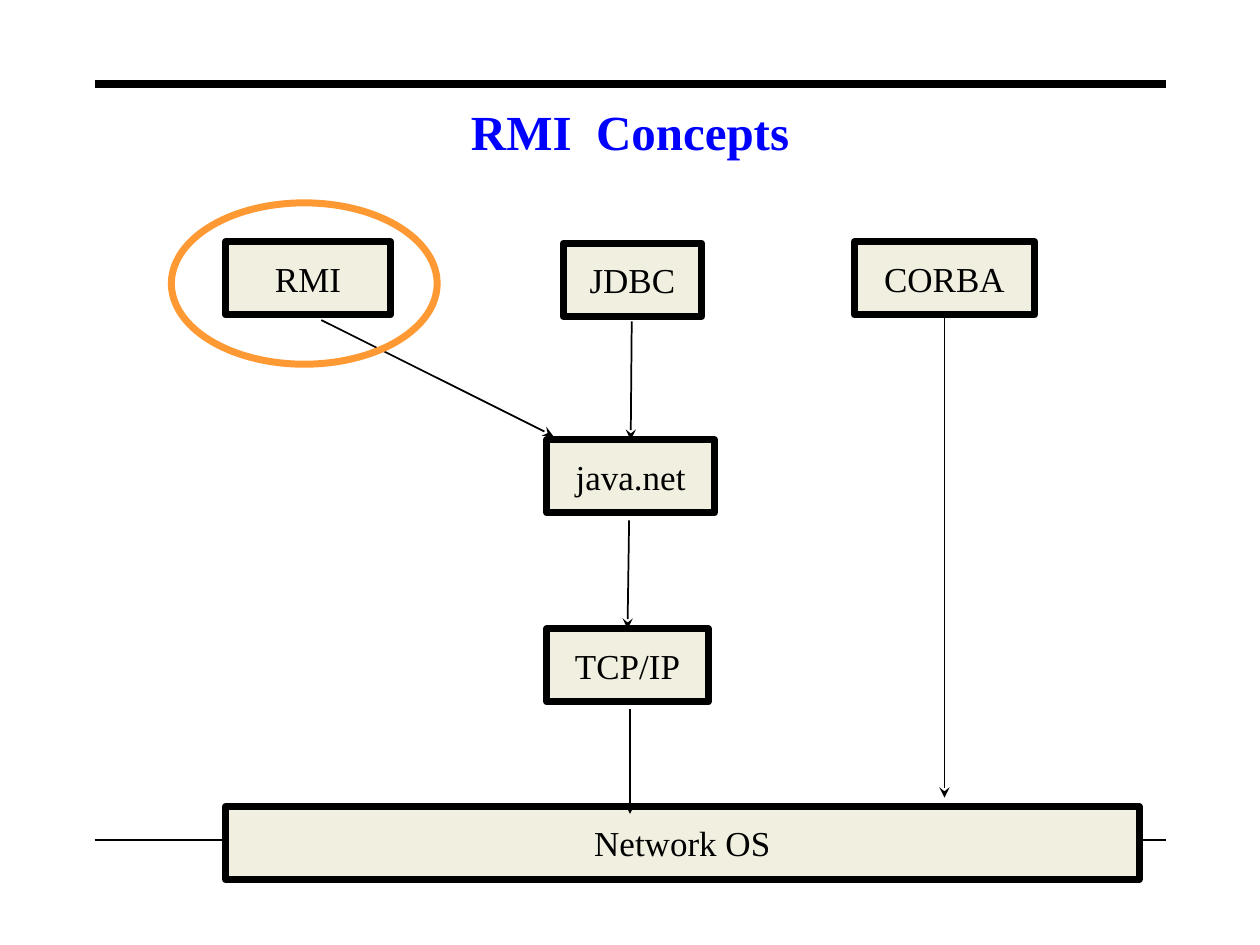
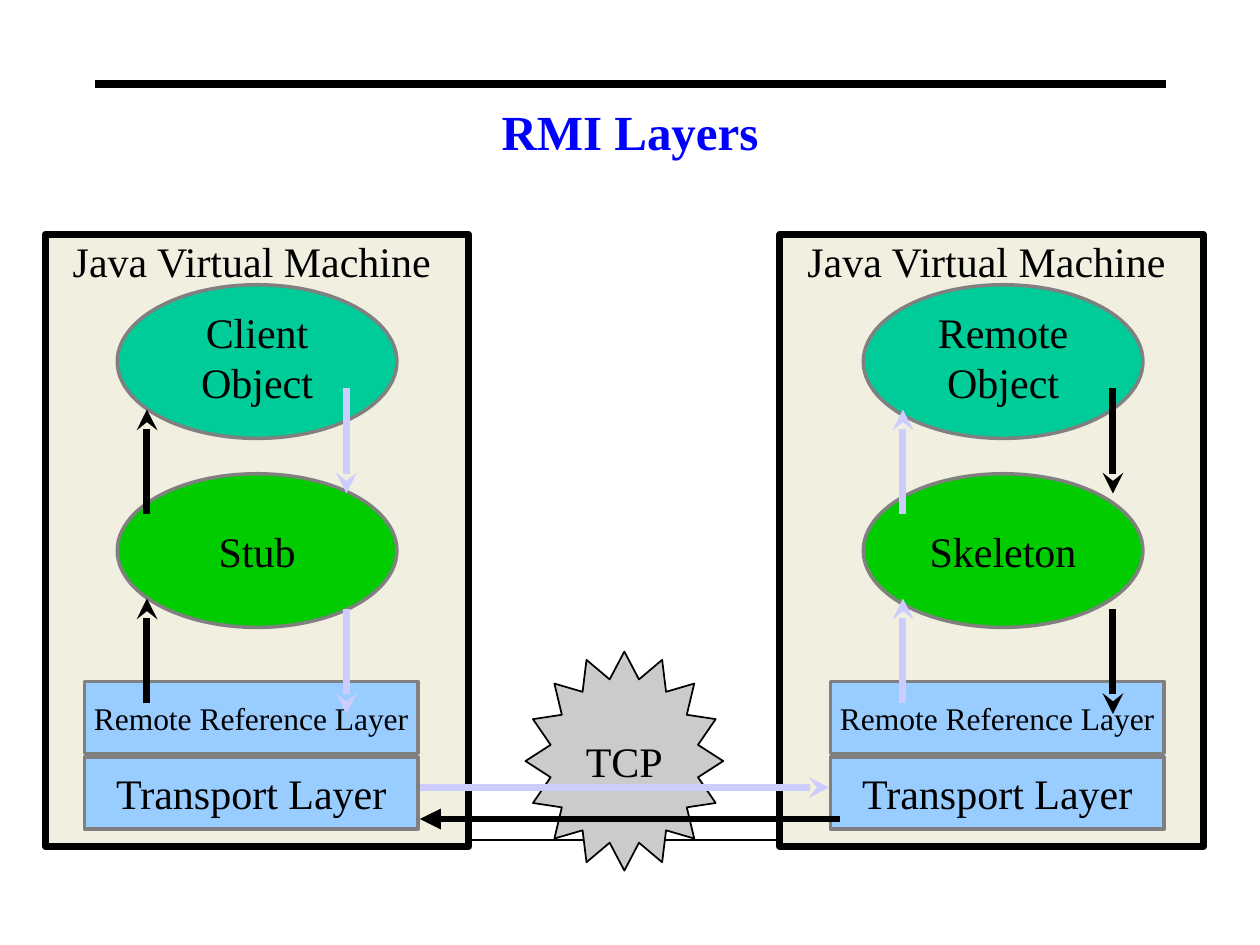
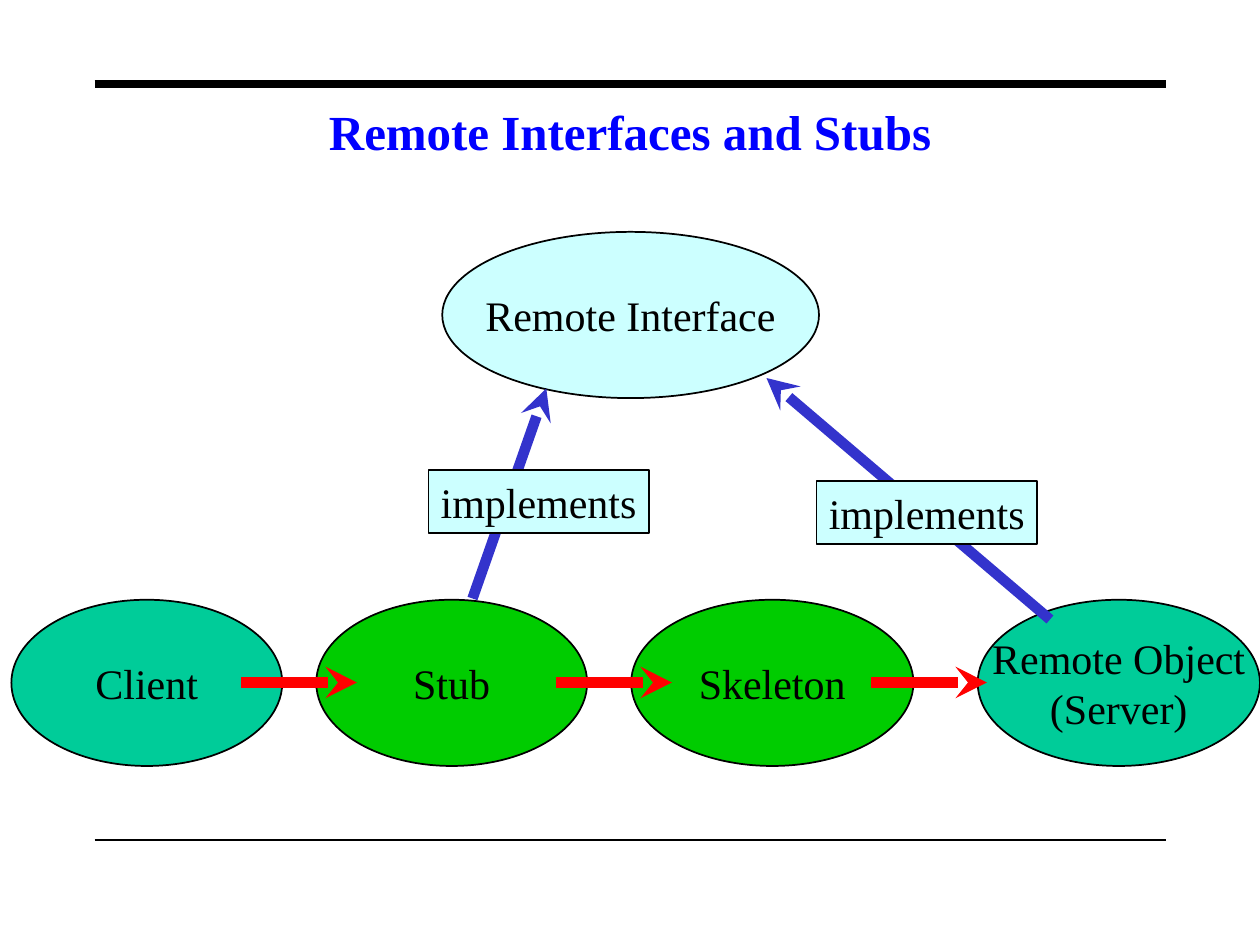
from math import cos, pi, sin

from lxml import etree
from pptx import Presentation
from pptx.dml.color import RGBColor
from pptx.enum.shapes import MSO_CONNECTOR, MSO_SHAPE
from pptx.enum.text import MSO_ANCHOR, PP_ALIGN
from pptx.oxml.ns import qn
from pptx.util import Pt

RECT, OVAL = MSO_SHAPE.RECTANGLE, MSO_SHAPE.OVAL
STRAIGHT = MSO_CONNECTOR.STRAIGHT
LEFT, CENTER = PP_ALIGN.LEFT, PP_ALIGN.CENTER
TOP, MIDDLE = MSO_ANCHOR.TOP, MSO_ANCHOR.MIDDLE
TOP_SIDE, BOTTOM_SIDE = 0, 2

FONT = "Times New Roman"
BLACK, BLUE, GREY, SILVER = "000000", "0000FF", "808080", "CBCBCB"
CREAM, ORANGE, SKY, ICE = "F0EFE0", "FF9933", "99CCFF", "CCFFFF"
TEAL, GREEN, LILAC, RED, INDIGO = "00CC99", "00CC00", "CCCCFF", "FF0000", "3333CC"


def dress(shape, text="", size=24, fill=None, outline=None, weight=1, color=BLACK,
          bold=False, align=CENTER, anchor=MIDDLE, wrap=False):
    """Set the fill, outline and text of a shape or text box."""
    if fill:
        shape.fill.solid()
        shape.fill.fore_color.rgb = RGBColor.from_string(fill)
    else:
        shape.fill.background()
    if outline:
        shape.shadow.inherit = False
        shape.line.color.rgb = RGBColor.from_string(outline)
        shape.line.width = Pt(weight)
    if text:
        frame = shape.text_frame
        frame.word_wrap = wrap
        frame.vertical_anchor = anchor
        for number, words in enumerate(text.split("\n")):
            paragraph = frame.add_paragraph() if number else frame.paragraphs[0]
            paragraph.alignment = align
            run = paragraph.add_run()
            run.text = words
            run.font.name = FONT
            run.font.size = Pt(size)
            run.font.bold = bold
            run.font.color.rgb = RGBColor.from_string(color)
    return shape


def draw_line(slide, x1, y1, x2, y2, color=BLACK, weight=1, tip="stealth", end="tailEnd"):
    """Draw a straight line, with an arrowhead unless tip is None."""
    line = slide.shapes.add_connector(STRAIGHT, Pt(x1), Pt(y1), Pt(x2), Pt(y2))
    line.line.color.rgb = RGBColor.from_string(color)
    line.line.width = Pt(weight)
    if tip:
        etree.SubElement(line.line._ln, qn(f"a:{end}"), type=tip)
    etree.SubElement(line._element.spPr, qn("a:effectLst"))
    return line


prs = Presentation()
prs.slide_width, prs.slide_height = Pt(720), Pt(540)

# Shared frame: thick top rule, thin bottom rule, title
slides = []
for title in ("RMI  Concepts", "RMI Layers", "Remote Interfaces and Stubs"):
    slide = prs.slides.add_slide(prs.slide_layouts[6])
    draw_line(slide, 54, 48, 666, 48, weight=4.5, tip=None)
    draw_line(slide, 54, 480, 666, 480, tip=None)
    heading = slide.shapes.add_textbox(Pt(54), Pt(48), Pt(612), Pt(54))
    dress(heading, title, 28, color=BLUE, bold=True, wrap=True)
    slides.append(slide)
concepts, layers, interfaces = slides

# Slide 1: protocol stack
stack = {}
for name, left, top, width in (
    ("TCP/IP", 312.5, 359.3, 92.2),
    ("java.net", 312.5, 251.3, 95.8),
    ("RMI", 128.9, 138.2, 94.3),
    ("JDBC", 321.8, 139, 79.2),
    ("CORBA", 488.2, 138.2, 103),
    ("Network OS", 128.9, 460.8, 522),
):
    box = concepts.shapes.add_shape(RECT, Pt(left), Pt(top), Pt(width), Pt(41.8))
    stack[name] = dress(box, name, 20, CREAM, BLACK, 4)

# Calls between the levels
draw_line(concepts, 183.6, 182.9, 316.1, 249.1)
draw_line(concepts, 360, 405.4, 360, 465.1)
jdbc_call = draw_line(concepts, 361, 183.6, 361, 249.8)
jdbc_call.end_connect(stack["java.net"], TOP_SIDE)
net_call = draw_line(concepts, 359.5, 297.4, 359.5, 357.8)
net_call.end_connect(stack["TCP/IP"], TOP_SIDE)
corba_call = draw_line(concepts, 539.7, 180, 539.7, 455.8)
corba_call.begin_connect(stack["CORBA"], BOTTOM_SIDE)

# Ring around RMI
ring = concepts.shapes.add_shape(OVAL, Pt(97.9), Pt(115.9), Pt(151.9), Pt(92.2))
dress(ring, outline=ORANGE, weight=4)

# Slide 2: sixteen-point TCP star, inner corners at 76 % of the radius
corners = []
for step in range(32):
    reach = 0.76 if step % 2 else 1
    angle = pi + step * pi / 16
    corners.append((Pt(356.8 + 56.5 * reach * cos(angle)),
                    Pt(434.9 + 62.6 * reach * sin(angle))))
star = layers.shapes.build_freeform(*corners[0])
star.add_line_segments(corners[1:], close=True)
dress(star.convert_to_shape(), "TCP", 24, SILVER, BLACK)

# Two virtual machines with their layers
for machine_left, stack_left, top_object, proxy, up_x, up_color, down_x, down_color in (
    (25.9, 48.2, "Client Object", "Stub", 84, BLACK, 198, LILAC),
    (445.7, 474.5, "Remote Object", "Skeleton", 516, LILAC, 636, BLACK),
):
    machine = layers.shapes.add_shape(RECT, Pt(machine_left), Pt(133.9), Pt(241.9), Pt(349.9))
    dress(machine, fill=CREAM, outline=BLACK, weight=4)
    network = layers.shapes.add_group_shape().shapes
    for layer, top, size in (("Remote Reference Layer", 389.5, 18),
                             ("Transport Layer", 432.7, 24)):
        band = network.add_shape(RECT, Pt(stack_left), Pt(top), Pt(190.8), Pt(41))
        dress(band, layer, size, SKY, GREY, 2)
    caption = layers.shapes.add_textbox(Pt(machine_left + 8.6), Pt(131), Pt(221), Pt(36))
    dress(caption, "Java Virtual Machine", align=LEFT, anchor=TOP)
    for words, top, fill in (("", 162.7, TEAL), (proxy, 270.7, GREEN)):
        oval = layers.shapes.add_shape(OVAL, Pt(stack_left + 18.8), Pt(top), Pt(159.8), Pt(87.8))
        dress(oval, words, 24, fill, GREY, 2)
    label = layers.shapes.add_textbox(Pt(stack_left + 35.7), Pt(171.4), Pt(126), Pt(64.8))
    dress(label, top_object, anchor=TOP, wrap=True)
    for start in (294, 402):
        draw_line(layers, up_x, start, up_x, start - 60, up_color, 4)
    for start in (222, 348):
        draw_line(layers, down_x, start, down_x, start + 60, down_color, 4)

# Request and reply across the network
draw_line(layers, 240, 468, 480, 468, BLACK, 4, "triangle", "headEnd")
draw_line(layers, 240, 450, 474, 450, LILAC, 4)

# Slide 3: interface above the chain of objects
for role, left, top, width, fill in (
    ("Remote Interface", 252.7, 132.5, 215.3, ICE),
    ("Client", 6.5, 342.7, 154.8, TEAL),
    ("Stub", 180.7, 342.7, 154.8, GREEN),
    ("Skeleton", 360.7, 342.7, 161.3, GREEN),
    ("Remote Object\n(Server)", 558.7, 342.7, 161.3, TEAL),
):
    oval = interfaces.shapes.add_shape(OVAL, Pt(left), Pt(top), Pt(width), Pt(95))
    dress(oval, role, 24, fill, BLACK)

# Call chain
for call in range(3):
    start = 138 + 180 * call
    draw_line(interfaces, start, 390, start + 66, 390, RED, 6)

# Implements arrows with their labels on top
draw_line(interfaces, 270, 342, 312.2, 222, INDIGO, 6)
draw_line(interfaces, 600, 354, 438, 216, INDIGO, 6)
for left, top in ((244.8, 268.6), (466.6, 275)):
    tag = interfaces.shapes.add_shape(RECT, Pt(left), Pt(top), Pt(126), Pt(36))
    dress(tag, "implements", 24, ICE, BLACK)

prs.save("out.pptx")
